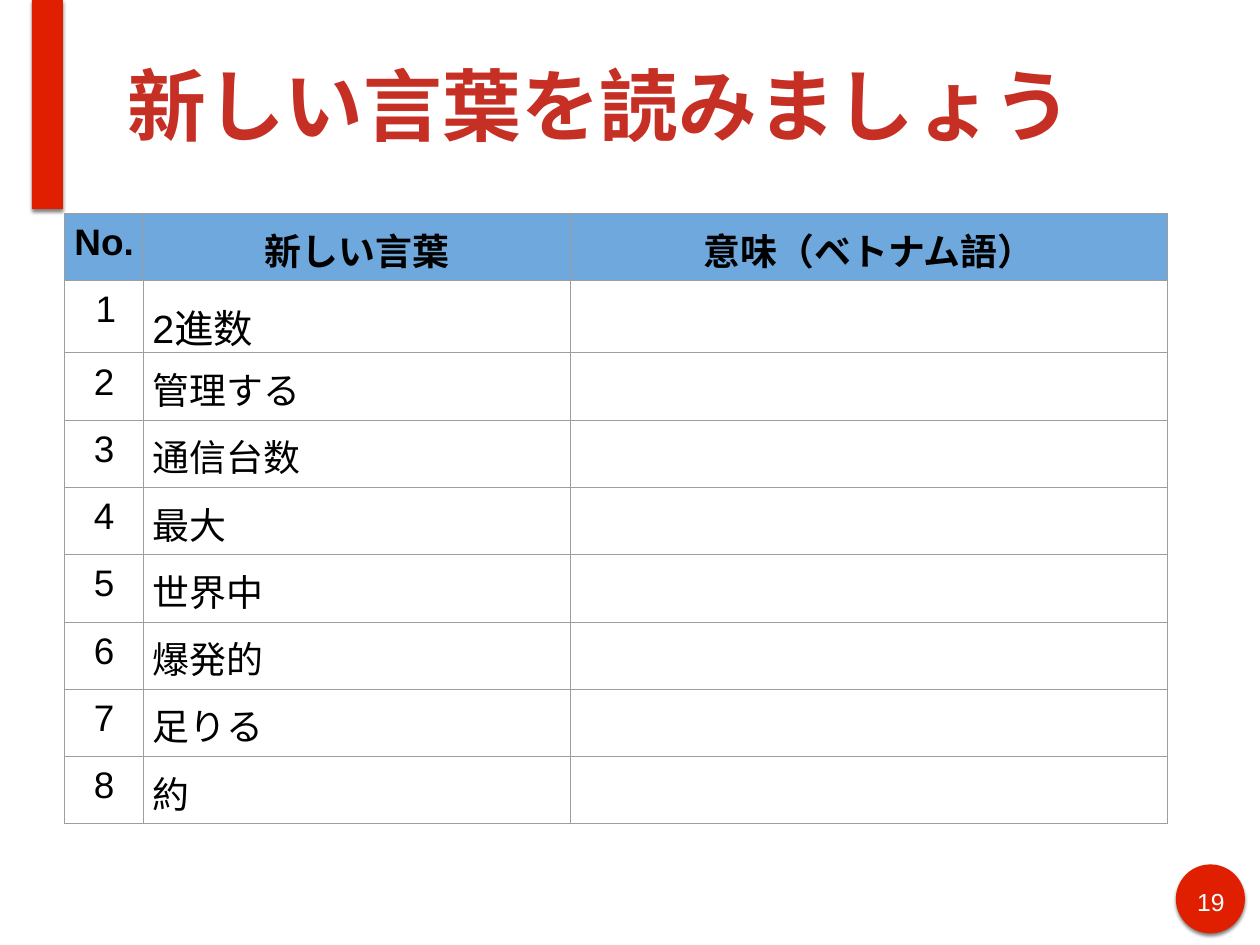
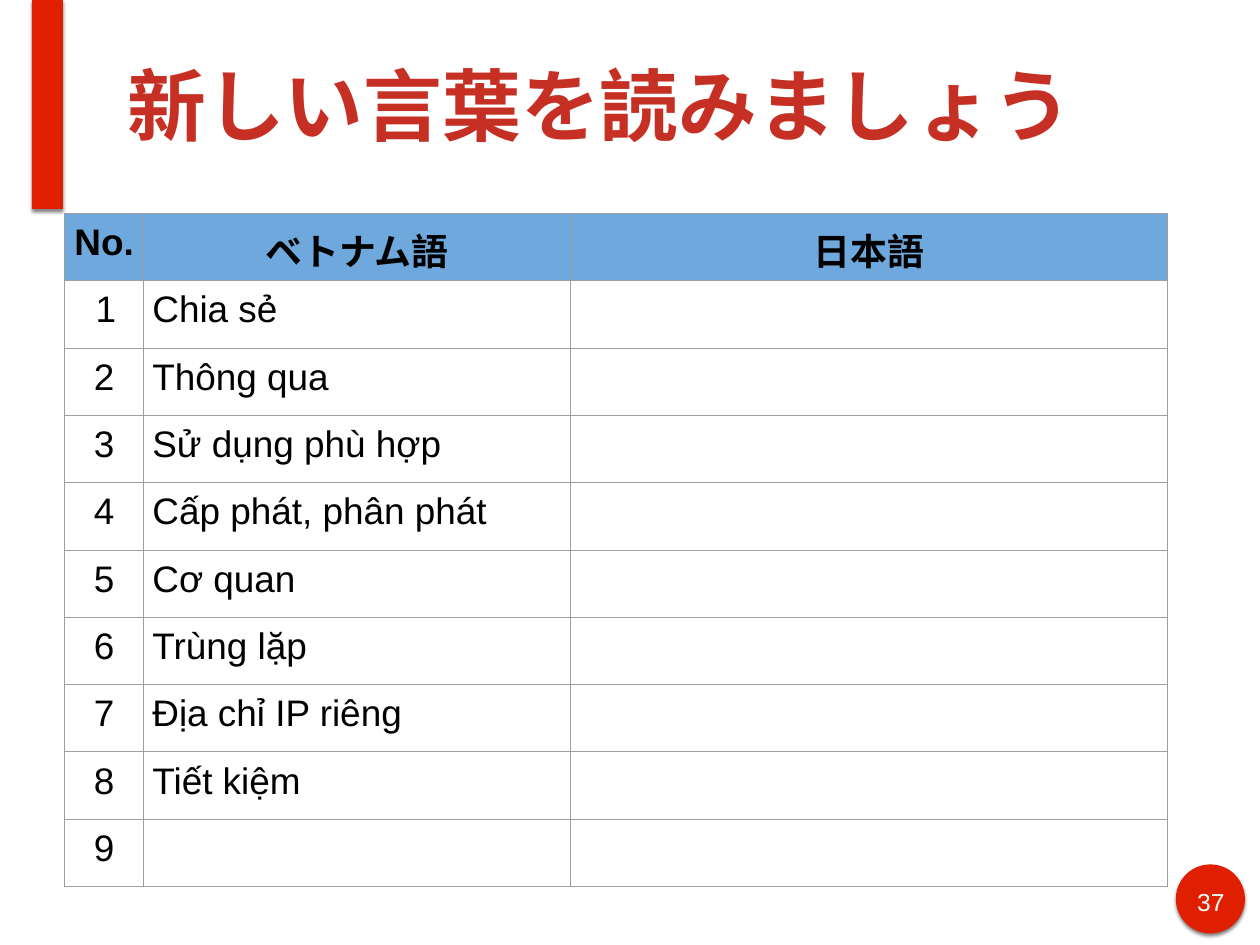
from lxml import etree
from pptx import Presentation
from pptx.dml.color import RGBColor
from pptx.enum import shapes, text
from pptx.oxml import parse_xml
from pptx.oxml.ns import nsdecls, qn
from pptx.util import Inches, Pt

# Content
TITLE = "新しい言葉を読みましょう"
LESSONS = [
    {"page": "19",
     "header": ["No.", "新しい言葉", "意味（ベトナム語）"],
     "words": ["2進数", "管理する", "通信台数", "最大", "世界中", "爆発的",
               "足りる", "約"],
     "loose_words": {"2進数"}},
    {"page": "37",
     "header": ["No.", "ベトナム語", "日本語"],
     "words": ["Chia sẻ", "Thông qua", "Sử dụng phù hợp",
               "Cấp phát, phân phát", "Cơ quan", "Trùng lặp",
               "Địa chỉ IP riêng", "Tiết kiệm", ""],
     "loose_words": set()},
]

# Shared style
FONT = "Arial"
RED, TITLE_RED, BLUE = "DF1F00", "C63024", "6FA8DC"
GREY, BLACK, WHITE = "9E9E9E", "000000", "FFFFFF"
COLUMNS = [0.89, 4.82, 6.74]
ROW_HEIGHT = 0.76
CENTER = text.PP_ALIGN.CENTER


def rgb(value):
    return RGBColor.from_string(value)


def add_run(paragraph, words, size, color=BLACK, bold=False):
    run = paragraph.add_run()
    run.text = words
    run.font.size, run.font.bold, run.font.name = Pt(size), bold, FONT
    run.font.color.rgb = rgb(color)
    return run


def add_label(slide, box, words, size, color, bold=False, align=None,
              anchor=text.MSO_ANCHOR.TOP):
    frame = slide.shapes.add_textbox(*map(Inches, box)).text_frame
    frame.word_wrap = True
    frame.vertical_anchor = anchor
    frame.margin_left = frame.margin_right = Inches(0.06)
    frame.margin_top = frame.margin_bottom = Inches(0.06)
    frame.paragraphs[0].alignment = align
    run = add_run(frame.paragraphs[0], words, size, color, bold)
    etree.SubElement(run.font._element, qn("a:ea"), typeface=FONT)


def add_red_shape(slide, preset, box):
    shape = slide.shapes.add_shape(preset, *map(Inches, box))
    shape.fill.solid()
    shape.fill.fore_color.rgb = rgb(RED)
    shape.line.fill.background()
    shape._element.spPr.append(parse_xml(
        f'<a:effectLst {nsdecls("a")}>'
        '<a:outerShdw blurRad="38100" dist="25400" dir="5400000" rotWithShape="0">'
        '<a:srgbClr val="000000"><a:alpha val="50000"/></a:srgbClr>'
        '</a:outerShdw></a:effectLst>'))


def set_borders(cell):
    for side in "LRTB":
        cell._tc.get_or_add_tcPr().append(parse_xml(
            f'<a:ln{side} {nsdecls("a")} w="9525"><a:solidFill>'
            f'<a:srgbClr val="{GREY}"/></a:solidFill></a:ln{side}>'))


def add_frame(slide, page):
    """Red band, page badge and title."""
    add_red_shape(slide, shapes.MSO_SHAPE.OVAL, (13.27, 9.76, 0.78, 0.78))
    add_red_shape(slide, shapes.MSO_SHAPE.RECTANGLE, (0.36, 0, 0.35, 2.36))
    add_label(slide, (13.42, 9.95, 0.49, 0.39), page, 20, WHITE, align=CENTER)
    add_label(slide, (1.38, 0.11, 12.14, 2.12), TITLE, 64, TITLE_RED, bold=True,
              anchor=text.MSO_ANCHOR.MIDDLE)


def add_word_table(slide, lesson):
    rows = [lesson["header"]]
    rows += [[str(n), word, ""] for n, word in enumerate(lesson["words"], 1)]
    table = slide.shapes.add_table(
        len(rows), len(COLUMNS), Inches(0.73), Inches(2.41),
        Inches(sum(COLUMNS)), Inches(ROW_HEIGHT * len(rows))).table
    table.first_row = table.horz_banding = False
    for column, width in zip(table.columns, COLUMNS):
        column.width = Inches(width)
    for r, row in enumerate(rows):
        table.rows[r].height = Inches(ROW_HEIGHT)
        is_header = r == 0
        for c, words in enumerate(row):
            cell = table.cell(r, c)
            cell.margin_left = cell.margin_right = Inches(0.1)
            cell.margin_top = cell.margin_bottom = Inches(0.1)
            set_borders(cell)
            if is_header:
                cell.fill.solid()
                cell.fill.fore_color.rgb = rgb(BLUE)
            else:
                cell.fill.background()
            if not words:
                continue
            paragraph = cell.text_frame.paragraphs[0]
            if (r, c) == (1, 0):
                # The first number is indented, the others are centred
                indents = paragraph._p.get_or_add_pPr()
                indents.set("marL", str(Inches(0.5)))
                indents.set("indent", str(Inches(-0.25)))
            elif is_header or c == 0:
                paragraph.alignment = CENTER
            loose = words in lesson["loose_words"]
            if loose:
                paragraph.line_spacing = 1.15
                paragraph.space_after = Pt(25)
            add_run(paragraph, words, 32 if loose else 30, bold=is_header)


def main():
    deck = Presentation()
    deck.slide_width, deck.slide_height = Inches(14.22), Inches(10.67)
    for lesson in LESSONS:
        slide = deck.slides.add_slide(deck.slide_layouts[6])
        add_frame(slide, lesson["page"])
        add_word_table(slide, lesson)
    deck.save("out.pptx")


if __name__ == "__main__":
    main()
